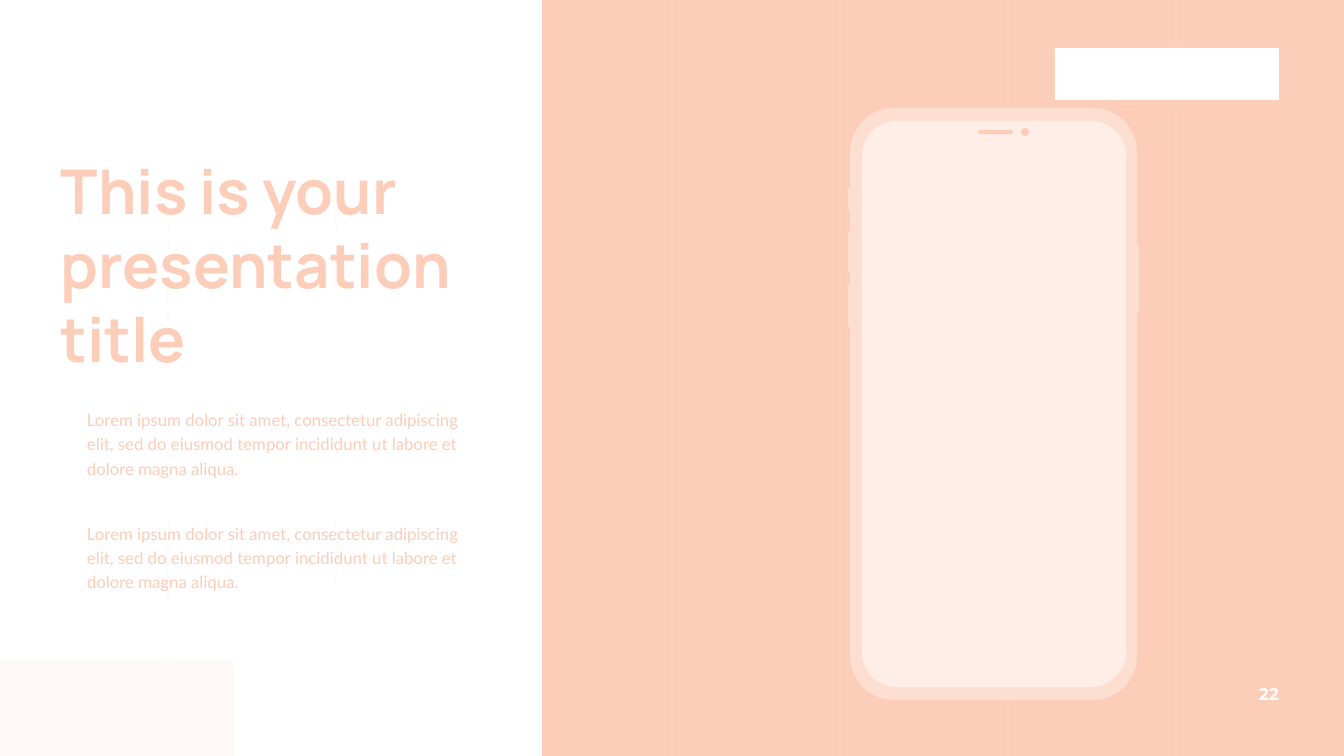
from lxml.etree import SubElement
from pptx import Presentation
from pptx.dml.color import RGBColor
from pptx.enum.shapes import MSO_CONNECTOR, MSO_SHAPE
from pptx.enum.text import MSO_ANCHOR, PP_ALIGN
from pptx.oxml.ns import qn
from pptx.util import Pt

SLIDE_WIDTH, SLIDE_HEIGHT = 1344, 756
SCALE = 12192000 / SLIDE_WIDTH
COLORS = {"peach": "FCCDB9", "frame": "FDDFD2", "pale": "FEEEE7", "white": "FFFFFF"}
LOREM = (
    "Lorem ipsum dolor sit amet, consectetur adipiscing elit, "
    "sed do eiusmod tempor incididunt ut labore et dolore magna aliqua."
)


def px(length):
    """Turn a length in px into EMU."""
    return round(length * SCALE)


def color(name):
    """Return a named colour."""
    return RGBColor.from_string(COLORS[name])


def set_alpha(element, percent):
    """Make the solid colour within an element partly transparent."""
    SubElement(next(element.iter(qn("a:srgbClr"))), qn("a:alpha"), val=str(percent * 1000))


def add_block(page, kind, bounds, fill, radius=0, alpha=100):
    """Add a filled shape, with a corner radius in px if it is rounded."""
    shape = page.shapes.add_shape(kind, *map(px, bounds))
    shape.shadow.inherit = False
    shape.fill.solid()
    shape.fill.fore_color.rgb = color(fill)
    shape.line.fill.background()
    if radius:
        shape.adjustments[0] = radius / min(bounds[2:])
    if alpha < 100:
        set_alpha(shape.fill._xPr, alpha)


def add_guide(page, left):
    """Add a faint vertical guide line."""
    guide = page.shapes.add_connector(
        MSO_CONNECTOR.STRAIGHT, px(left), 0, px(left), px(SLIDE_HEIGHT)
    )
    guide.line.color.rgb = color("pale")
    guide.line.width = Pt(1.5)
    set_alpha(guide.line._ln, 10)
    SubElement(guide._element.spPr, qn("a:effectLst"))


def add_text(page, bounds, lines, font, size, fill, bold=False, inset=10,
             align=PP_ALIGN.LEFT, anchor=MSO_ANCHOR.TOP, spacing=None, gap=0, indent=0):
    """Add a text box with one paragraph for each line."""
    box = page.shapes.add_textbox(*map(px, bounds))
    frame = box.text_frame
    frame.word_wrap = True
    frame.vertical_anchor = anchor
    frame.margin_left = frame.margin_right = px(inset)
    frame.margin_top = frame.margin_bottom = px(inset / 2)
    for index, line in enumerate(lines):
        para = frame.add_paragraph() if index else frame.paragraphs[0]
        para.alignment = align
        if spacing:
            para.line_spacing = spacing
        if index and gap:
            para.space_before = Pt(gap)
        if indent:
            para._p.get_or_add_pPr().set("marL", str(px(indent)))
        span = para.add_run()
        span.text = line
        span.font.name = font
        span.font.size = Pt(size)
        span.font.bold = bold
        span.font.color.rgb = color(fill)


def add_phone(page):
    """Add the phone with its side buttons, screen, speaker and camera."""
    rounded = MSO_SHAPE.ROUNDED_RECTANGLE
    for left, top, height in ((1137, 245, 68), (848, 188, 22), (848, 231, 41), (848, 285, 42)):
        add_block(page, rounded, (left, top, 2, height), "frame", 1)
    add_block(page, rounded, (850, 108, 287, 592), "frame", 44)
    add_block(page, rounded, (862, 121, 264, 566), "pale", 35)
    add_block(page, rounded, (978, 130, 35, 4), "peach", 2)
    add_block(page, MSO_SHAPE.OVAL, (1021, 128, 8, 8), "peach")


def main():
    """Build and save the slide."""
    deck = Presentation()
    deck.slide_width, deck.slide_height = px(SLIDE_WIDTH), px(SLIDE_HEIGHT)
    page = deck.slides.add_slide(deck.slide_layouts[6])
    page.background.fill.solid()
    page.background.fill.fore_color.rgb = color("white")

    add_block(page, MSO_SHAPE.RECTANGLE, (542, 0, 802, SLIDE_HEIGHT), "peach")
    for column in range(1, 8):
        add_guide(page, column * SLIDE_WIDTH // 8)
    add_block(page, MSO_SHAPE.RECTANGLE, (0, 661, 234, 95), "peach", alpha=10)
    add_phone(page)
    add_text(page, (68, 406, 405, 186), [LOREM, LOREM], "Lato", 12, "peach",
             inset=0, spacing=1.2, gap=29.3, indent=19)
    add_text(page, (51, 148, 449, 234), ["This is your presentation", "title"],
             "Manrope", 44, "peach", bold=True)
    add_text(page, (1244, 674, 45, 40), ["22"], "Montserrat", 12, "white", bold=True,
             align=PP_ALIGN.RIGHT, anchor=MSO_ANCHOR.MIDDLE)
    add_block(page, MSO_SHAPE.RECTANGLE, (1055, 48, 224, 52), "white")
    deck.save("out.pptx")


if __name__ == "__main__":
    main()
